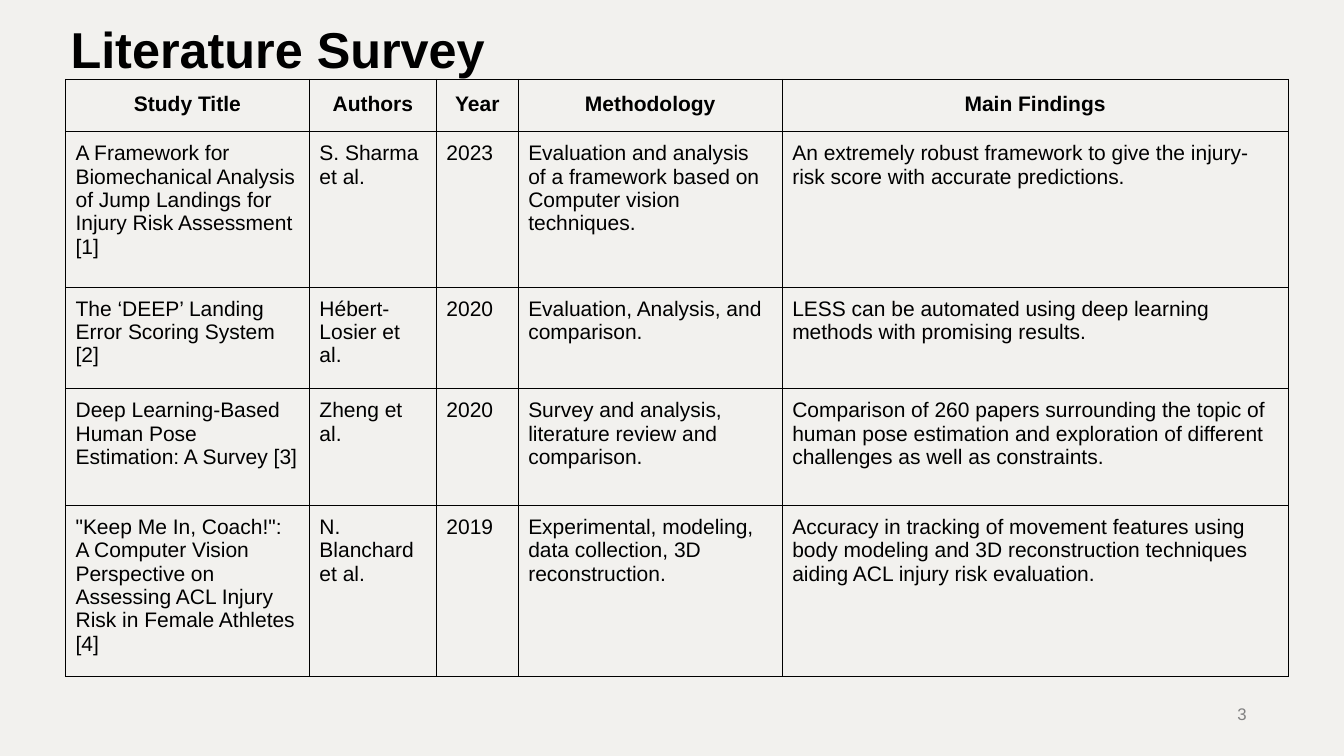
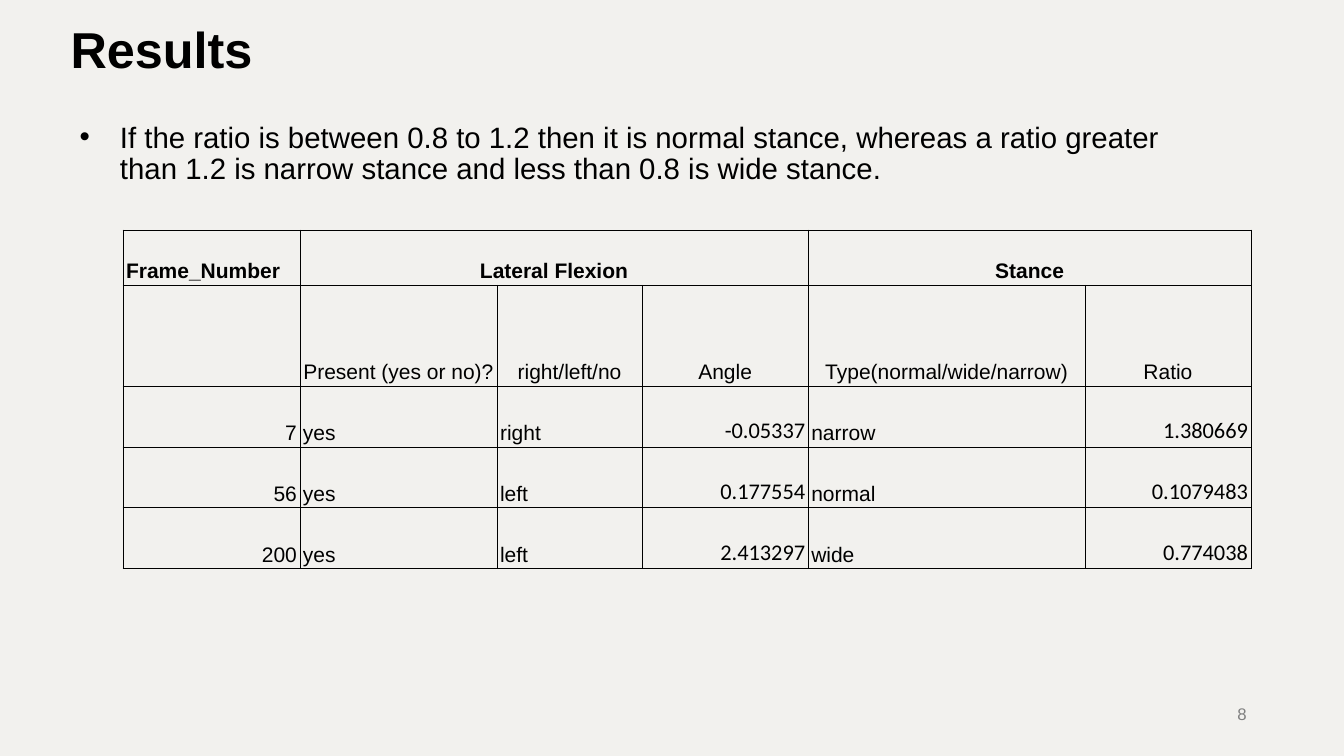
from lxml import etree
from pptx import Presentation
from pptx.dml.color import RGBColor
from pptx.enum import text
from pptx.oxml import ns
from pptx.util import Pt

PAPER = RGBColor(0xF2, 0xF1, 0xEE)
INK = RGBColor(0x00, 0x00, 0x00)
GRAY = RGBColor(0x80, 0x80, 0x80)

LEFT, CENTER, RIGHT = text.PP_ALIGN.LEFT, text.PP_ALIGN.CENTER, text.PP_ALIGN.RIGHT
TOP, MIDDLE, BOTTOM = text.MSO_ANCHOR.TOP, text.MSO_ANCHOR.MIDDLE, text.MSO_ANCHOR.BOTTOM

SURVEY = [
    ["Study Title", "Authors", "Year", "Methodology", "Main Findings"],
    ["A Framework for Biomechanical Analysis of Jump Landings for Injury Risk Assessment [1]",
     "S. Sharma et al.", "2023",
     "Evaluation and analysis of a framework based on Computer vision techniques.",
     "An extremely robust framework to give the injury-risk score with accurate predictions."],
    ["The ‘DEEP’ Landing Error Scoring System [2]",
     "Hébert-Losier et al.", "2020",
     "Evaluation, Analysis, and comparison.",
     "LESS can be automated using deep learning methods with promising results."],
    ["Deep Learning-Based Human Pose Estimation: A Survey [3]",
     "Zheng et al.", "2020",
     "Survey and analysis, literature review and comparison.",
     "Comparison of 260 papers surrounding the topic of human pose estimation "
     "and exploration of different challenges as well as constraints."],
    ['"Keep Me In, Coach!": A Computer Vision Perspective on Assessing ACL Injury Risk '
     "in Female Athletes [4]",
     "N. Blanchard et al.", "2019",
     "Experimental, modeling, data collection, 3D reconstruction.",
     "Accuracy in tracking of movement features using body modeling and "
     "3D reconstruction techniques aiding ACL injury risk evaluation."],
]

GROUPS = ["Frame_Number", "Lateral Flexion", "", "", "Stance", ""]
FIELDS = ["", "Present (yes or no)?", "right/left/no", "Angle", "Type(normal/wide/narrow)", "Ratio"]
FRAMES = [
    ["7", "yes", "right", "-0.05337", "narrow", "1.380669"],
    ["56", "yes", "left", "0.177554", "normal", "0.1079483"],
    ["200", "yes", "left", "2.413297", "wide", "0.774038"],
]
FRAME_ALIGNS = [RIGHT, LEFT, LEFT, RIGHT, LEFT, RIGHT]
MEASURES = (3, 5)


class Deck:
    def __init__(self):
        self.deck = Presentation()
        self.deck.slide_width, self.deck.slide_height = Pt(960), Pt(540)
        self.page = None

    def start(self, title, number):
        self.page = self.deck.slides.add_slide(self.deck.slide_layouts[6])
        self.page.background.fill.solid()
        self.page.background.fill.fore_color.rgb = PAPER
        para = self.box(46.8, 20.9, 828, 39.6, title, BOTTOM)
        self.style(para, 36, bold=True, spacing=0.9)
        para = self.box(879, 499, 15.2, 21, number, MIDDLE)
        self.style(para, 12, color=GRAY, align=RIGHT)

    def style(self, para, size, name="Arial", color=INK, bold=False, align=LEFT, spacing=1.0):
        para.alignment = align
        para.line_spacing = spacing
        para.font.size = Pt(size)
        para.font.name = name
        para.font.bold = bold
        para.font.color.rgb = color

    def box(self, left, top, width, height, words, anchor=TOP):
        frame = self.page.shapes.add_textbox(Pt(left), Pt(top), Pt(width), Pt(height)).text_frame
        frame.word_wrap = True
        frame.vertical_anchor = anchor
        frame.margin_left = frame.margin_right = Pt(3.6)
        frame.margin_top = frame.margin_bottom = Pt(3.6)
        frame.text = words
        return frame.paragraphs[0]

    def bullet(self, left, top, width, height, words):
        para = self.box(left, top, width, height, words)
        properties = para._p.get_or_add_pPr()
        properties.set("marL", str(Pt(36)))
        properties.set("indent", str(-Pt(28.8)))
        etree.SubElement(properties, ns.qn("a:buFont"), typeface="Arial")
        etree.SubElement(properties, ns.qn("a:buChar"), char="•")
        self.style(para, 21, spacing=0.9)

    def table(self, left, top, widths, heights, margins, border, anchor=TOP):
        table = self.page.shapes.add_table(
            len(heights), len(widths), Pt(left), Pt(top), Pt(sum(widths)), Pt(sum(heights))).table
        table.first_row = table.horz_banding = False
        for column, width in zip(table.columns, widths):
            column.width = Pt(width)
        for row, height in zip(table.rows, heights):
            row.height = Pt(height)
        for cell in table.iter_cells():
            self.border(cell, border)
            cell.fill.background()
            cell.vertical_anchor = anchor
            cell.margin_left = cell.margin_right = Pt(margins[0])
            cell.margin_top = cell.margin_bottom = Pt(margins[1])
        return table

    def border(self, cell, width):
        properties = cell._tc.get_or_add_tcPr()
        for side in ("lnL", "lnR", "lnT", "lnB"):
            line = etree.SubElement(properties, ns.qn("a:" + side), w=str(Pt(width)))
            fill = etree.SubElement(line, ns.qn("a:solidFill"))
            etree.SubElement(fill, ns.qn("a:srgbClr"), val=str(INK))

    def entry(self, cell, words, size=15, **looks):
        if words:
            cell.text = words
            self.style(cell.text_frame.paragraphs[0], size, **looks)


def survey_slide(deck):
    deck.start("Literature Survey", "3")
    table = deck.table(46.8, 56.7, [174.2, 90.7, 58.5, 188.6, 361.4],
                       [37.5, 111, 72.5, 83.5, 122], (7.2, 7.2), 0.75)
    for row, entries in enumerate(SURVEY):
        looks = {} if row else {"bold": True, "align": CENTER, "spacing": 1.15}
        for column, words in enumerate(entries):
            deck.entry(table.cell(row, column), words, **looks)


def results_slide(deck):
    deck.start("Results", "8")
    deck.bullet(46.1, 84.2, 828, 64,
                "If the ratio is between 0.8 to 1.2 then it is normal stance, whereas a ratio "
                "greater than 1.2 is narrow stance and less than 0.8 is wide stance.")
    table = deck.table(87.9, 164.3, [126.3, 140.9, 103.6, 118.7, 197.6, 118.7],
                       [39.5, 72, 43.4, 43.4, 43.4], (2.16, 1.44), 0.6, BOTTOM)
    table.cell(0, 1).merge(table.cell(0, 3))
    table.cell(0, 4).merge(table.cell(0, 5))
    for column, words in enumerate(GROUPS):
        deck.entry(table.cell(0, column), words, bold=True, spacing=1.15,
                   align=CENTER if column else LEFT)
    for column, words in enumerate(FIELDS):
        deck.entry(table.cell(1, column), words, align=CENTER, spacing=1.15)
    for row, entries in enumerate(FRAMES, 2):
        for column, words in enumerate(entries):
            size, name = (16, "Calibri") if column in MEASURES else (15, "Arial")
            deck.entry(table.cell(row, column), words, size, name=name,
                       align=FRAME_ALIGNS[column], spacing=1.15)


def main():
    deck = Deck()
    survey_slide(deck)
    results_slide(deck)
    deck.deck.save("out.pptx")


if __name__ == "__main__":
    main()
